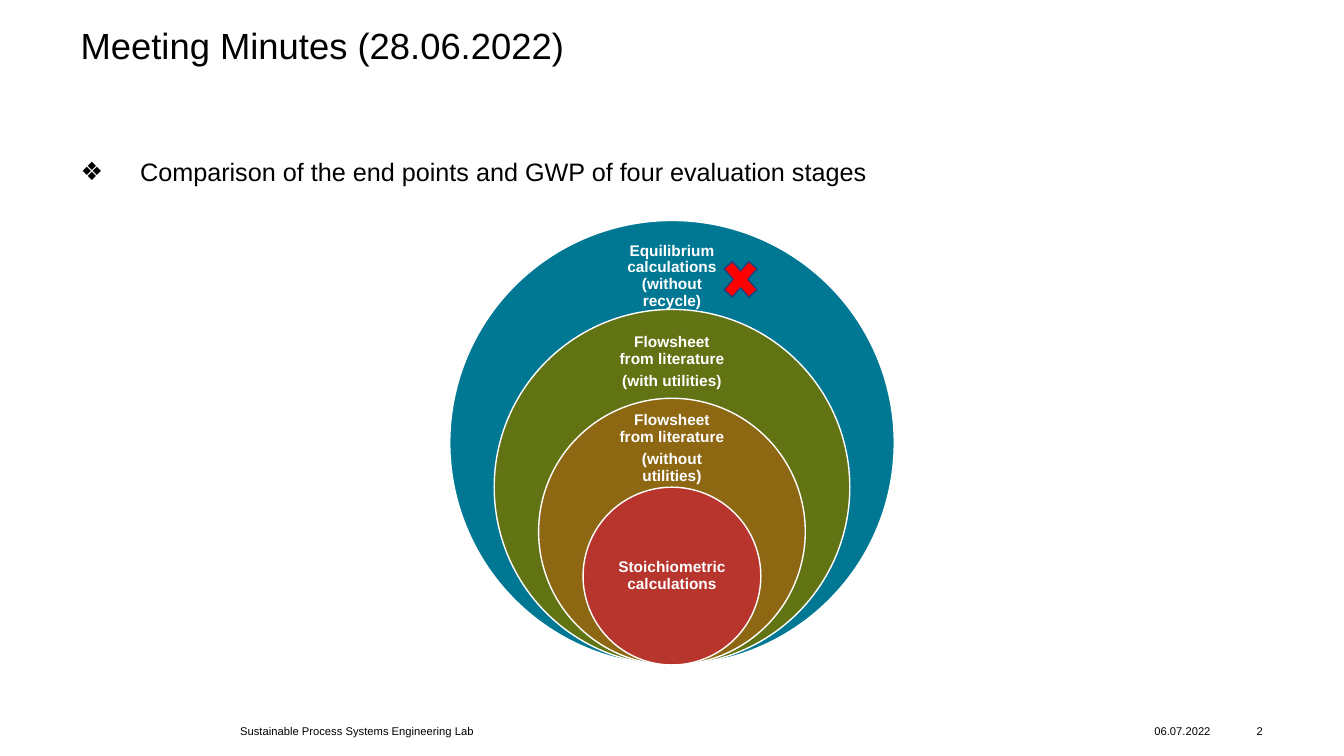
from lxml.etree import SubElement
from pptx import Presentation
from pptx.dml.color import RGBColor
from pptx.enum.shapes import MSO_SHAPE
from pptx.enum.text import MSO_ANCHOR, PP_ALIGN
from pptx.oxml.ns import qn
from pptx.util import Pt

COLORS = {
    "black": "000000",
    "white": "FFFFFF",
    "teal": "007894",
    "green": "627313",
    "brown": "8E6713",
    "red": "B7352D",
    "cross": "FF0000",
    "navy": "184481",
}
STAGES = [
    ("teal", 173.5, 47.5, ["Equilibrium calculations (without recycle)"]),
    ("green", 236, 45.5, ["Flowsheet from literature", "(with utilities)"]),
    ("brown", 299, 43, ["Flowsheet from literature", "(without utilities)"]),
    ("red", 379.5, 63.5, ["Stoichiometric calculations"]),
]
CENTER = 480
BASE = 475
OUTER = 317.5
LABEL = 90


def color(name):
    return RGBColor.from_string(COLORS[name])


def add_text(slide, box, lines, size, hue="black", bold=False,
             align=PP_ALIGN.LEFT, anchor=MSO_ANCHOR.TOP, inset=0):
    frame = slide.shapes.add_textbox(*map(Pt, box)).text_frame
    frame.word_wrap = True
    frame.vertical_anchor = anchor
    frame.margin_left = frame.margin_right = Pt(inset)
    frame.margin_top = frame.margin_bottom = Pt(inset)
    frame.text = "\n".join(lines)
    for para in frame.paragraphs:
        para.alignment = align
        para.font.name = "Arial"
        para.font.size = Pt(size)
        para.font.bold = bold
        para.font.color.rgb = color(hue)
    return frame


def add_shape(slide, kind, box, fill, line):
    shape = slide.shapes.add_shape(kind, *map(Pt, box))
    shape.shadow.inherit = False
    shape.fill.solid()
    shape.fill.fore_color.rgb = color(fill)
    shape.line.color.rgb = color(line)
    shape.line.width = Pt(1)


def add_bullet(para, mark, indent):
    props = para._p.get_or_add_pPr()
    props.set("marL", str(Pt(indent)))
    props.set("indent", str(Pt(-indent)))
    SubElement(props, qn("a:buFont")).set("typeface", "Arial")
    SubElement(props, qn("a:buChar")).set("char", mark)


def add_point(slide, box, text):
    frame = slide.shapes.add_textbox(*map(Pt, box)).text_frame
    frame.word_wrap = True
    frame.margin_left = frame.margin_right = 0
    frame.margin_top = frame.margin_bottom = 0
    para = frame.paragraphs[0]
    para.text = text
    add_bullet(para, "❖", 42.5)
    para.font.name = "Arial"
    para.font.size = Pt(18)
    para.font.color.rgb = color("black")


def add_stage(slide, index, fill, top, height, lines):
    side = OUTER * (1 - 0.2 * index)
    circle = (CENTER - side / 2, BASE - side, side, side)
    add_shape(slide, MSO_SHAPE.OVAL, circle, fill, "white")
    frame = add_text(slide, (CENTER - LABEL / 2, top, LABEL, height), lines, 11,
                     "white", True, PP_ALIGN.CENTER, MSO_ANCHOR.MIDDLE, 6.2)
    for para in frame.paragraphs:
        para.line_spacing = 0.9
        para.space_after = Pt(4)


def add_footer(slide, left, width, text, align=PP_ALIGN.LEFT):
    add_text(slide, (left, 513.5, width, 17), [text], 8,
             align=align, anchor=MSO_ANCHOR.MIDDLE)


def main():
    deck = Presentation()
    deck.slide_width, deck.slide_height = Pt(960), Pt(540)
    slide = deck.slides.add_slide(deck.slide_layouts[6])
    title = add_text(slide, (57.6, 20, 844.5, 70.5),
                     ["Meeting Minutes (28.06.2022)"], 26)
    title.paragraphs[0].line_spacing = 0.9
    add_point(slide, (57.6, 111.6, 844.5, 368.5),
              "Comparison of the end points and GWP of four evaluation stages")
    add_footer(slide, 171.5, 425.5, "Sustainable Process Systems Engineering Lab")
    add_footer(slide, 824.5, 48, "06.07.2022")
    add_footer(slide, 877, 25, "2", PP_ALIGN.RIGHT)
    for index, stage in enumerate(STAGES):
        add_stage(slide, index, *stage)
    add_shape(slide, MSO_SHAPE.MATH_MULTIPLY, (512, 180, 34, 39), "cross", "navy")
    deck.save("out.pptx")


if __name__ == "__main__":
    main()
